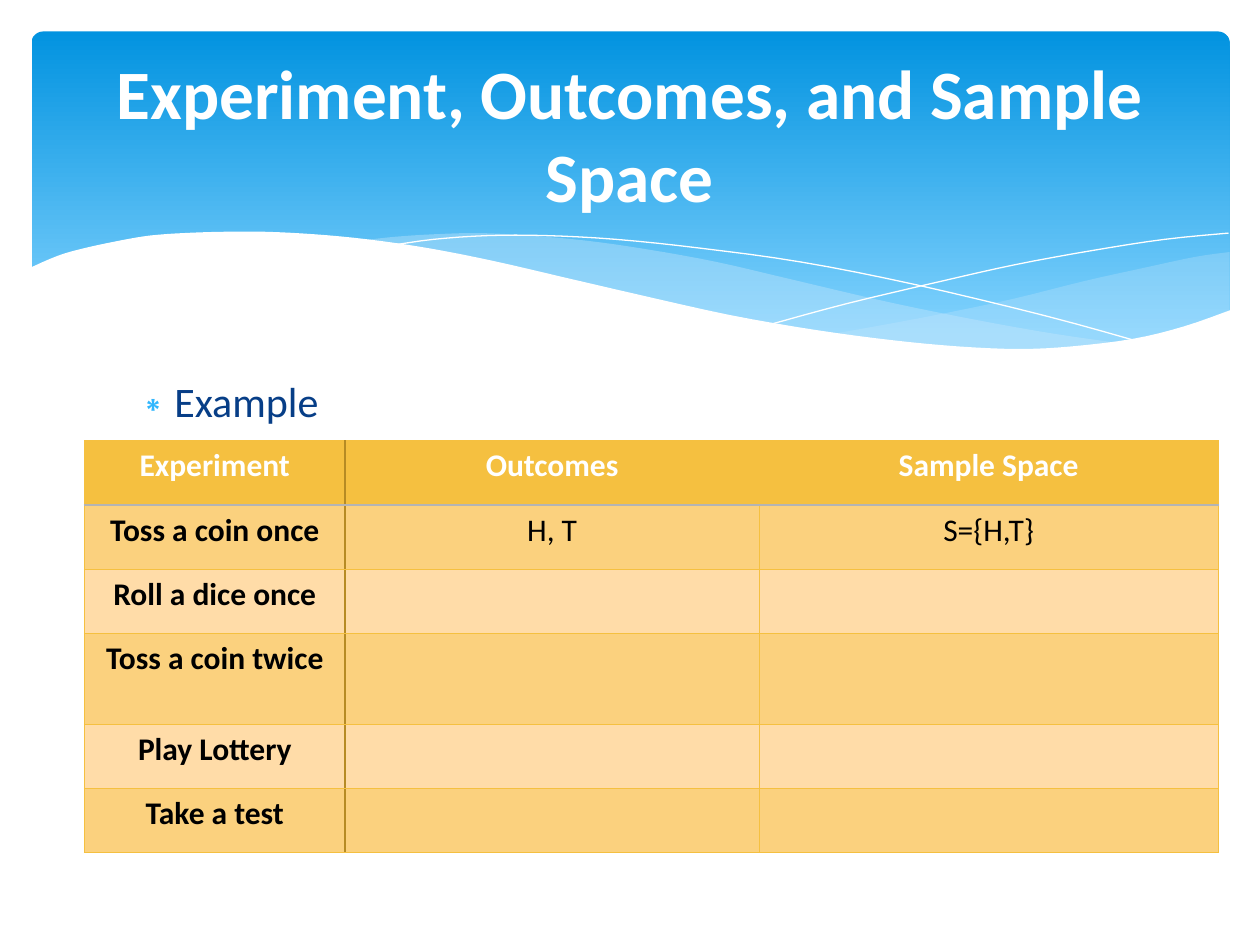
import lxml.etree
import pptx
import pptx.dml.color
import pptx.enum.shapes
import pptx.enum.text
import pptx.oxml
import pptx.oxml.ns
import pptx.util

Inches = pptx.util.Inches
Pt = pptx.util.Pt
qn = pptx.oxml.ns.qn

GOLD, DARK_GOLD, GREY = "F5C040", "B68B24", "B4B4B4"
BAND_DARK, BAND_LIGHT = "FBD17E", "FFDCA8"
WHITE, BLACK, NAVY, SKY, PALE = "FFFFFF", "000000", "073E87", "31B6FD", "C6E7FC"

RIGHT_VEIL_TOP = [(9.76, 2), (9.48, 2.04), (9.06, 2.13), (8.61, 2.23),
                  (8.05, 2.37), (7.53, 2.48), (7.06, 2.57), (6.61, 2.65)]
RIGHT_VEIL_BOTTOM = [(6.61, 2.65), (7.05, 2.71), (7.57, 2.76), (8.03, 2.78),
                     (8.54, 2.76), (8.97, 2.7), (9.35, 2.62), (9.76, 2.47)]
LEFT_VEIL_TOP = [(8.93, 2.73), (8.37, 2.65), (7.75, 2.54), (7.06, 2.4), (6.29, 2.22),
                 (5.69, 2.08), (5.14, 1.98), (4.65, 1.91), (4.2, 1.87), (3.8, 1.85),
                 (3.44, 1.86), (3.13, 1.88), (2.86, 1.91)]
LEFT_VEIL_BOTTOM = [(2.86, 1.91), (3.42, 1.99), (4.04, 2.11), (4.49, 2.22), (5.3, 2.4),
                    (6.01, 2.55), (6.65, 2.66), (7.22, 2.74), (7.73, 2.77),
                    (8.18, 2.78), (8.57, 2.77), (8.93, 2.73)]
FALLING_LINE = [(3.09, 1.95), (3.44, 1.9), (3.87, 1.87), (4.33, 1.87), (4.89, 1.9),
                (5.56, 1.97), (6.36, 2.08), (7.27, 2.26), (8.31, 2.51), (9.07, 2.72)]
RISING_LINE = [(6.13, 2.57), (6.72, 2.41), (7.48, 2.23), (8.06, 2.1), (8.66, 1.99),
               (9.24, 1.9), (9.75, 1.85)]
WHITE_WAVE = [(9.77, 2.46), (9.4, 2.59), (8.99, 2.69), (8.5, 2.75), (8.09, 2.77),
              (7.61, 2.75), (7.08, 2.7), (6.48, 2.62), (5.79, 2.5), (5.03, 2.33),
              (4.47, 2.2), (3.91, 2.07), (3.4, 1.97), (2.92, 1.9), (2.5, 1.86),
              (2.11, 1.84), (1.77, 1.84), (1.46, 1.85), (1.19, 1.87), (0.95, 1.91),
              (0.67, 1.97), (0.46, 2.03), (0.23, 2.13)]

ROWS = [
    ("Experiment", "Outcomes", "Sample Space"),
    ("Toss a coin once", "H, T", "S={H,T}"),
    ("Roll a dice once", "", ""),
    ("Toss a coin twice", "", ""),
    ("Play Lottery", "", ""),
    ("Take a test", "", ""),
]


def color(value):
    return pptx.dml.color.RGBColor.from_string(value)


def paint(fill, value, opacity=100):
    fill.solid()
    fill.fore_color.rgb = color(value)
    if opacity < 100:
        for element in fill._xPr.iter(qn("a:srgbClr")):
            lxml.etree.SubElement(element, qn("a:alpha"), val=str(opacity * 1000))


def format_font(font, size, value, bold=False):
    font.name, font.size, font.bold = "Calibri", Pt(size), bold
    font.color.rgb = color(value)


def smooth(points, steps=4):
    """Return a Catmull-Rom curve through the points."""
    padded = [points[0], *points, points[-1]]
    curve = [points[0]]
    for a, b, c, d in zip(padded, padded[1:], padded[2:], padded[3:]):
        for step in range(1, steps + 1):
            t = step / steps
            curve.append(tuple(
                q + t * (r - p) / 2 + t**2 * (2 * p - 5 * q + 4 * r - s) / 2
                + t**3 * (3 * q - p - 3 * r + s) / 2
                for p, q, r, s in zip(a, b, c, d)))
    return curve


def add_outline(slide, points, close):
    corners = [(Inches(x), Inches(y)) for x, y in points]
    builder = slide.shapes.build_freeform(*corners[0], scale=1.0)
    builder.add_line_segments(corners[1:], close=close)
    shape = builder.convert_to_shape()
    shape.shadow.inherit = False
    return shape


def add_area(slide, points, value, opacity=100):
    shape = add_outline(slide, points, True)
    paint(shape.fill, value, opacity)
    shape.line.fill.background()


def add_curve(slide, points):
    shape = add_outline(slide, smooth(points), False)
    shape.fill.background()
    shape.line.color.rgb = color(WHITE)
    shape.line.width = Pt(0)


def add_banner(slide, left, top, width, height):
    panel = slide.shapes.add_shape(
        pptx.enum.shapes.MSO_SHAPE.ROUNDED_RECTANGLE, left, top, width, height)
    panel.adjustments[0] = 0.034
    panel.shadow.inherit = False
    panel.line.fill.background()
    panel.fill.gradient()
    panel.fill.gradient_angle = 270
    for stop, position, value in zip(
            panel.fill.gradient_stops, (0, 0.9), ("0293E0", "83D3FE")):
        stop.position = position
        stop.color.rgb = color(value)

    add_area(slide, smooth(RIGHT_VEIL_TOP) + smooth(RIGHT_VEIL_BOTTOM), PALE, 29)
    add_area(slide, smooth(LEFT_VEIL_TOP) + smooth(LEFT_VEIL_BOTTOM), PALE, 40)
    add_curve(slide, FALLING_LINE)
    add_curve(slide, RISING_LINE)
    add_area(slide, smooth(WHITE_WAVE) + [(0.23, 3.29), (9.77, 3.29)], WHITE)


def place_placeholder(slide, placeholder, text, left, top, width, height):
    """Fill a placeholder, bring it to the front and return its paragraph."""
    slide.shapes._spTree.append(placeholder._element)
    placeholder.left, placeholder.top = left, top
    placeholder.width, placeholder.height = width, height
    frame = placeholder.text_frame
    frame.text = text
    frame.auto_size = pptx.enum.text.MSO_AUTO_SIZE.NONE
    return frame.paragraphs[0]


def fill_title(slide, left, top, width, height):
    title = slide.shapes.title
    paragraph = place_placeholder(
        slide, title, "Experiment, Outcomes, and Sample Space", left, top, width, height)
    title.text_frame.vertical_anchor = pptx.enum.text.MSO_ANCHOR.MIDDLE
    paragraph.alignment = pptx.enum.text.PP_ALIGN.CENTER
    format_font(paragraph.font, 39.6, WHITE, True)


def fill_body(slide, left, top, width, height):
    paragraph = place_placeholder(
        slide, slide.placeholders[1], "Example", left, top, width, height)
    format_font(paragraph.font, 24, NAVY)
    paragraph.space_before = Pt(4.8)
    properties = paragraph._p.get_or_add_pPr()
    properties.set("marL", str(Inches(0.3)))
    properties.set("indent", str(-Inches(0.3)))
    bullet_color = lxml.etree.Element(qn("a:buClr"))
    lxml.etree.SubElement(bullet_color, qn("a:srgbClr"), val=SKY)
    bullet = lxml.etree.Element(qn("a:buChar"), char="∗")
    properties.find(qn("a:spcBef")).addnext(bullet_color)
    bullet_color.addnext(bullet)


def set_borders(cell, **borders):
    """Draw the sides L, R, T and B, each given as a colour and a width."""
    properties = cell._tc.get_or_add_tcPr()
    for index, side in enumerate("LRTB"):
        value, width = borders.get(side, (GOLD, 0.75))
        line = lxml.etree.Element(qn("a:ln" + side), w=str(Pt(width)))
        fill = lxml.etree.SubElement(line, qn("a:solidFill"))
        lxml.etree.SubElement(fill, qn("a:srgbClr"), val=value)
        properties.insert(index, line)


def add_experiment_table(slide, left, top, width, height):
    table = slide.shapes.add_table(len(ROWS), 3, left, top, width, height).table
    for column, share in zip(table.columns, (0.23, 0.365, 0.405)):
        column.width = int(width * share)
    for index, row in enumerate(table.rows):
        row.height = Inches(0.72 if index == 3 else 0.51)

    for i, texts in enumerate(ROWS):
        for j, text in enumerate(texts):
            cell = table.cell(i, j)
            cell.margin_left = cell.margin_right = Inches(0.07)
            cell.margin_top = cell.margin_bottom = 0
            cell.text = text
            paragraph = cell.text_frame.paragraphs[0]
            paragraph.alignment = pptx.enum.text.PP_ALIGN.CENTER
            paragraph.line_spacing = 1.15
            format_font(paragraph.font, 18, BLACK if i else WHITE, i == 0 or j == 0)
            paint(cell.fill, GOLD if i == 0 else BAND_DARK if i % 2 else BAND_LIGHT)
            borders = {}
            if j < 2:
                borders["R"] = (GOLD, 0.75) if j else (DARK_GOLD, 1.25)
            if j == 1:
                borders["L"] = (DARK_GOLD, 1.25)
            if i == 0:
                borders["B"] = (GREY, 1.25)
            if i == 1:
                borders["T"] = (GREY, 1.25)
            set_borders(cell, **borders)


def main():
    presentation = pptx.Presentation()
    presentation.slide_width, presentation.slide_height = Inches(10), Inches(7.5)
    slide = presentation.slides.add_slide(presentation.slide_layouts[1])
    add_banner(slide, Inches(0.25), Inches(0.25), Inches(9.51), Inches(2.7))
    fill_body(slide, Inches(0.95), Inches(2.93), Inches(8.1), Inches(3.77))
    fill_title(slide, Inches(0.5), Inches(0.37), Inches(9), Inches(1.37))
    add_experiment_table(slide, Inches(0.67), Inches(3.5), Inches(9), Inches(3.25))
    presentation.save("out.pptx")


if __name__ == "__main__":
    main()
